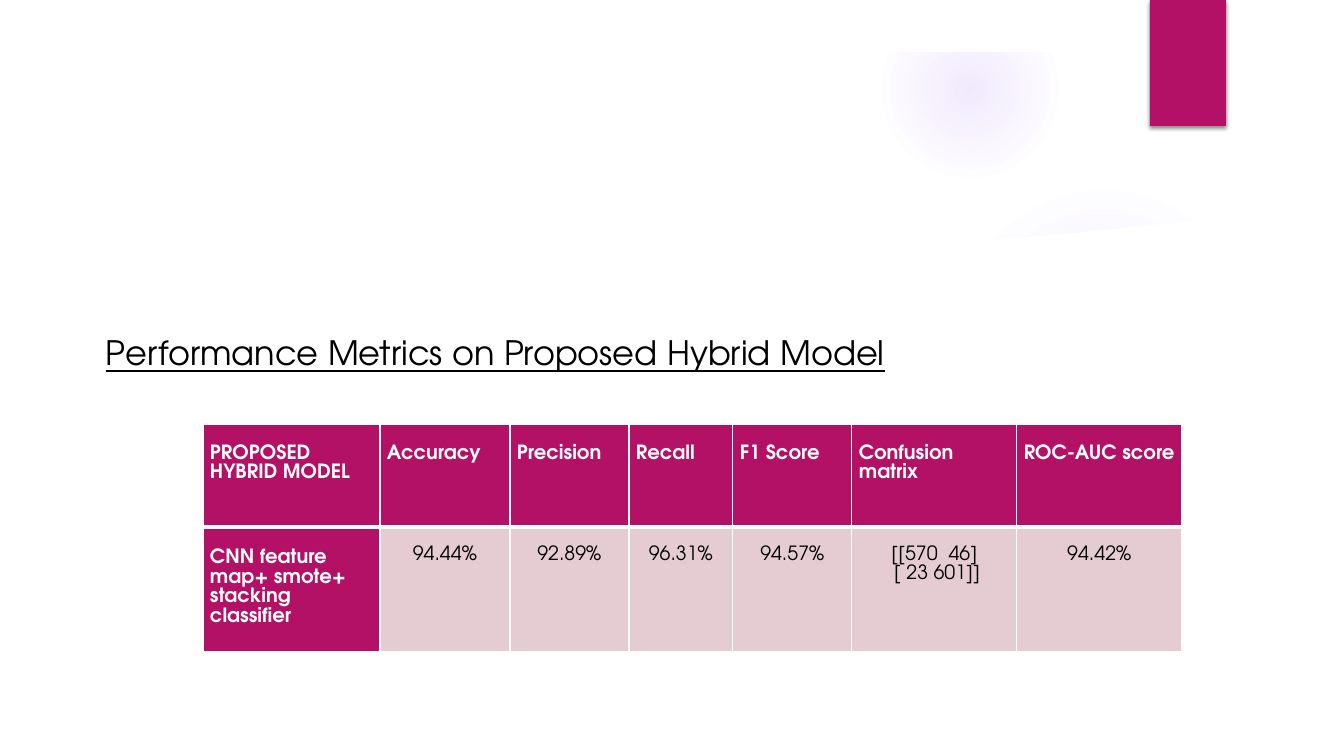
from dataclasses import dataclass

from pptx import Presentation
from pptx.dml.color import RGBColor
from pptx.enum.shapes import MSO_SHAPE as Preset
from pptx.enum.text import MSO_ANCHOR as Anchor, PP_ALIGN as Align
from pptx.oxml import parse_xml
from pptx.oxml.ns import nsdecls
from pptx.util import Emu, Pt


@dataclass(frozen=True)
class Theme:
    font: str = "TeX Gyre Adventor"
    accent: str = "B31166"
    tint: str = "E5CCD3"
    glow: str = "9B6BF2"
    light: str = "FFFFFF"
    dark: str = "000000"
    title_size: int = 24
    cell_size: int = 14
    line_spacing: float = 1.07
    side_line_spacing: float = 14.2


def px(length):
    return Emu(round(length * 914400 / 100.8))


class SlideBuilder:
    def __init__(self, slide, theme):
        self.slide = slide
        self.theme = theme

    def paint(self, shape, color):
        shape.shadow.inherit = False
        shape.fill.solid()
        shape.fill.fore_color.rgb = RGBColor.from_string(color)
        shape.line.fill.background()

    def rectangle(self, left, top, width, height, color):
        shape = self.slide.shapes.add_shape(
            Preset.RECTANGLE, px(left), px(top), px(width), px(height))
        self.paint(shape, color)
        return shape

    def drop_shadow(self, shape):
        effects = shape._element.spPr.find("{*}effectLst")
        effects.append(parse_xml(
            f'<a:outerShdw {nsdecls("a")} blurRad="38100" dist="25400" dir="5400000" '
            f'rotWithShape="0"><a:srgbClr val="{self.theme.dark}">'
            '<a:alpha val="45000"/></a:srgbClr></a:outerShdw>'))

    def glow(self, left, top, diameter, stops):
        """Draw a radial glow; stops are (position, opacity) in percent."""
        shape = self.slide.shapes.add_shape(
            Preset.OVAL, px(left), px(top), px(diameter), px(diameter))
        self.paint(shape, self.theme.glow)
        stop_xml = "".join(
            f'<a:gs pos="{position * 1000}"><a:srgbClr val="{self.theme.glow}">'
            f'<a:alpha val="{opacity * 1000}"/></a:srgbClr></a:gs>'
            for position, opacity in stops)
        gradient = parse_xml(
            f'<a:gradFill {nsdecls("a")}><a:gsLst>{stop_xml}</a:gsLst><a:path path="circle">'
            '<a:fillToRect l="50000" t="50000" r="50000" b="50000"/></a:path></a:gradFill>')
        properties = shape._element.spPr
        properties.replace(properties.find("{*}solidFill"), gradient)

    def outline(self, points, color):
        start, *rest = points
        builder = self.slide.shapes.build_freeform(*start, scale=px(1))
        builder.add_line_segments(rest, close=True)
        self.paint(builder.convert_to_shape(), color)

    def add_run(self, paragraph, text, size, color, bold=False, underline=False):
        run = paragraph.add_run()
        run.text = text
        font = run.font
        font.name, font.size = self.theme.font, Pt(size)
        font.bold, font.underline = bold, underline
        font.color.rgb = RGBColor.from_string(color)

    def title(self, left, top, width, height, text):
        frame = self.slide.shapes.add_textbox(
            px(left), px(top), px(width), px(height)).text_frame
        frame.word_wrap = True
        frame.vertical_anchor = Anchor.MIDDLE
        self.add_run(frame.paragraphs[0], text, self.theme.title_size,
                     self.theme.dark, underline=True)

    def borders(self, cell, widths):
        """Set white borders, widths in points for left, right, top, bottom."""
        properties = cell._tc.get_or_add_tcPr()
        for side, width in zip("LRTB", widths):
            properties.append(parse_xml(
                f'<a:ln{side} {nsdecls("a")} w="{Pt(width)}"><a:solidFill>'
                f'<a:srgbClr val="{self.theme.light}"/></a:solidFill></a:ln{side}>'))

    def cell(self, cell, text, is_header, is_side):
        theme = self.theme
        is_label = is_header or is_side
        self.borders(cell, (1, 1, 1, 3) if is_header else (1, 1, 3, 1))
        cell.fill.solid()
        cell.fill.fore_color.rgb = RGBColor.from_string(theme.accent if is_label else theme.tint)
        cell.margin_left = cell.margin_right = px(7)
        cell.margin_top, cell.margin_bottom = px(20 if is_label else 18), 0
        frame = cell.text_frame
        for index, line in enumerate(text.split("\n")):
            paragraph = frame.add_paragraph() if index else frame.paragraphs[0]
            paragraph.alignment = Align.LEFT if is_label else Align.CENTER
            paragraph.line_spacing = (Pt(theme.side_line_spacing) if is_side and not is_header
                                      else theme.line_spacing)
            self.add_run(paragraph, line, theme.cell_size,
                         theme.light if is_label else theme.dark, bold=is_label)

    def table(self, left, top, column_widths, row_heights, rows):
        table = self.slide.shapes.add_table(
            len(rows), len(column_widths), px(left), px(top),
            px(sum(column_widths)), px(sum(row_heights))).table
        for column, width in zip(table.columns, column_widths):
            column.width = px(width)
        for row, height in zip(table.rows, row_heights):
            row.height = px(height)
        for row_index, texts in enumerate(rows):
            for column_index, text in enumerate(texts):
                self.cell(table.cell(row_index, column_index), text,
                          row_index == 0, column_index == 0)


METRICS = [
    ("PROPOSED HYBRID MODEL", "Accuracy", "Precision", "Recall", "F1 Score",
     "Confusion matrix", "ROC-AUC score"),
    ("CNN feature map+ smote+ stacking classifier", "94.44%", "92.89%", "96.31%", "94.57%",
     "[[570  46]\n [ 23 601]]", "94.42%"),
]
PANEL = [
    (50, 206), (136, 217), (285, 229), (448, 243), (637, 250), (819, 248), (956, 243),
    (1068, 234), (1181, 222), (1294, 206), (1294, 706), (50, 706),
]


def main():
    presentation = Presentation()
    presentation.slide_width, presentation.slide_height = px(1344), px(756)
    theme = Theme()
    builder = SlideBuilder(
        presentation.slides.add_slide(presentation.slide_layouts[6]), theme)

    builder.glow(949, 184, 310, [(0, 7), (36, 6), (69, 0), (100, 0)])
    builder.glow(882, 1, 176, [(0, 14), (36, 7), (73, 0), (100, 0)])
    builder.outline(PANEL, theme.light)
    builder.rectangle(0, 0, 1344, 52, theme.light)
    builder.drop_shadow(builder.rectangle(1150, 0, 76, 126, theme.accent))

    builder.title(96, 296, 958, 112, "Performance Metrics on Proposed Hybrid Model")
    builder.table(203, 424, [177, 130, 119, 104, 119, 165, 165], [103, 125], METRICS)
    presentation.save("out.pptx")


if __name__ == "__main__":
    main()
